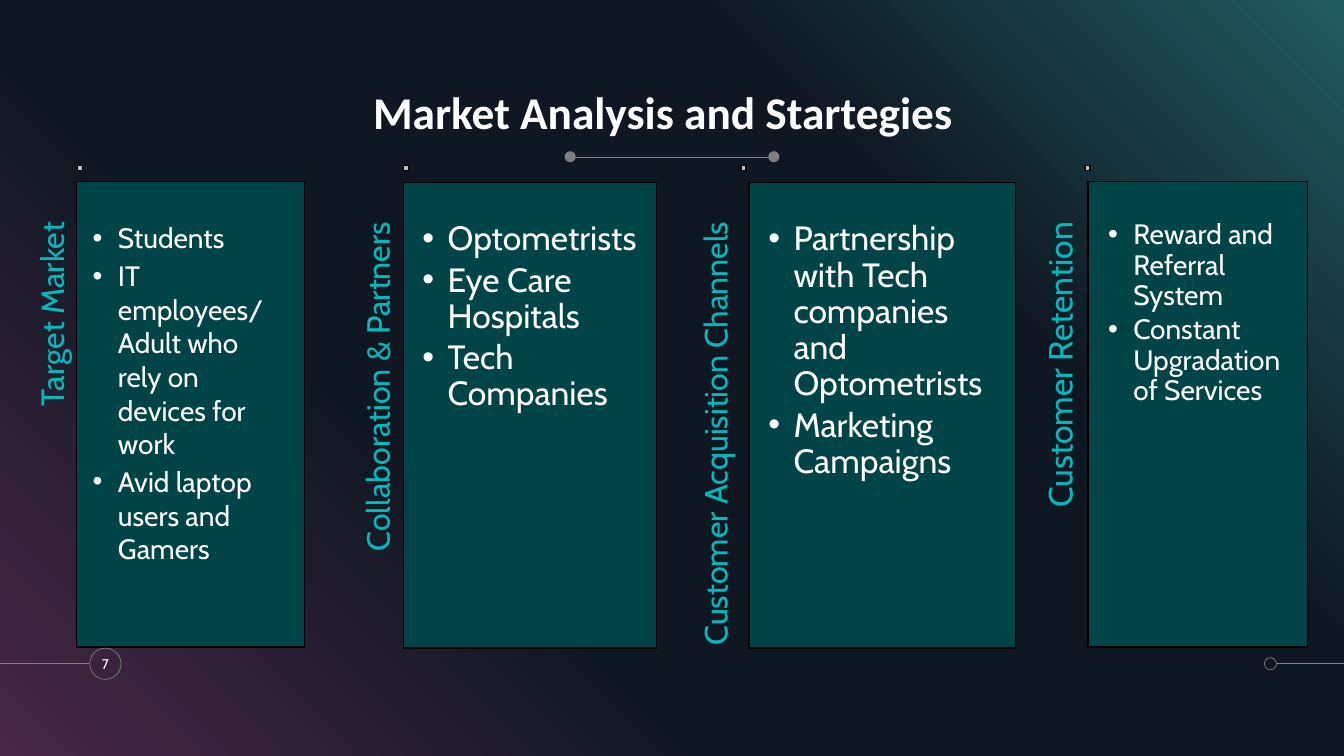
from lxml import etree
from pptx import Presentation
from pptx.dml.color import RGBColor
from pptx.enum.shapes import MSO_CONNECTOR, MSO_SHAPE
from pptx.enum.text import MSO_ANCHOR, MSO_AUTO_SIZE, PP_ALIGN
from pptx.oxml.ns import qn
from pptx.util import Inches, Pt

WHITE = RGBColor(0xFF, 0xFF, 0xFF)
BLACK = RGBColor(0x00, 0x00, 0x00)
GRAY = RGBColor(0x80, 0x80, 0x80)
SILVER = RGBColor(0xBD, 0xC1, 0xC1)
CYAN = RGBColor(0x00, 0xBB, 0xBB)
TEAL = RGBColor(0x00, 0x44, 0x48)
PURPLE = RGBColor(0x48, 0x28, 0x45)
NAVY = RGBColor(0x0F, 0x17, 0x22)
SEA = RGBColor(0x22, 0x5B, 0x5F)

RECT, OVAL = MSO_SHAPE.RECTANGLE, MSO_SHAPE.OVAL
STRAIGHT = MSO_CONNECTOR.STRAIGHT
LEFT, CENTER, RIGHT = PP_ALIGN.LEFT, PP_ALIGN.CENTER, PP_ALIGN.RIGHT
TOP, MIDDLE, BOTTOM = MSO_ANCHOR.TOP, MSO_ANCHOR.MIDDLE, MSO_ANCHOR.BOTTOM
NO_AUTOFIT = MSO_AUTO_SIZE.NONE

GRADIENT = [(0, PURPLE), (34, NAVY), (69, NAVY), (100, SEA)]
CARD_HEIGHT = 4.62
COLUMNS = [
    dict(heading="Target Market", label_x=0.58, label_size=23,
         box=(0.76, 1.8, 2.26, CARD_HEIGHT), inset=0.16, size=20, spacing=1.0,
         items=["Students", "IT employees/ Adult who rely on devices for work",
                "Avid laptop users and Gamers"]),
    dict(heading="Collaboration & Partners", label_x=3.81, label_size=23,
         box=(4, 1.81, 2.51, CARD_HEIGHT), inset=0.19, size=24, spacing=0.9,
         items=["Optometrists", "Eye Care Hospitals", "Tech Companies"]),
    dict(heading="Customer Acquisition Channels", label_x=7.16, label_size=23,
         box=(7.43, 1.81, 2.64, CARD_HEIGHT), inset=0.19, size=24, spacing=0.9,
         items=["Partnership with Tech companies and Optometrists",
                "Marketing Campaigns"]),
    dict(heading="Customer Retention", label_x=10.57, label_size=24,
         box=(10.79, 1.8, 2.18, CARD_HEIGHT), inset=0.2, size=20, spacing=0.9,
         items=["Reward and Referral System", "Constant Upgradation of Services"]),
]


def place(sp, box):
    """Move a shape to a box given in inches."""
    sp.left, sp.top, sp.width, sp.height = map(Inches, box)


def write(sp, lines, size, color=WHITE, font="Cabin", bold=False, align=LEFT,
          anchor=TOP, insets=(0, 0, 0, 0), spacing=1.0, bullets=False):
    """Fill a shape with formatted paragraphs."""
    tf = sp.text_frame
    tf.word_wrap, tf.auto_size, tf.vertical_anchor = True, NO_AUTOFIT, anchor
    tf.margin_left, tf.margin_top, tf.margin_right, tf.margin_bottom = map(Inches, insets)
    for i, line in enumerate(lines):
        p = tf.add_paragraph() if i else tf.paragraphs[0]
        p.alignment, p.line_spacing, p.space_before = align, spacing, Pt(0)
        r = p.add_run()
        r.text = line
        r.font.name, r.font.size, r.font.bold = font, Pt(size), bold
        r.font.color.rgb = color
        if bullets:
            p.level = 1
            p.space_after = Pt(0.15 * size)
            pPr = p._p.get_or_add_pPr()
            pPr.set("marL", str(Inches(0.25)))
            pPr.set("indent", str(Inches(-0.25)))
            etree.SubElement(pPr, qn("a:buFont")).set("typeface", "Arial")
            etree.SubElement(pPr, qn("a:buChar")).set("char", "•")


def paint(sp, fill=None, line=None, width=1):
    """Set the fill and outline of a shape."""
    if fill is None:
        sp.fill.background()
    else:
        sp.fill.solid()
        sp.fill.fore_color.rgb = fill
    if line is None:
        sp.line.fill.background()
    else:
        sp.line.color.rgb = line
        sp.line.width = Pt(width)


def add_shape(s, kind, box, **style):
    """Add a preset shape without shadow."""
    sp = s.shapes.add_shape(kind, *map(Inches, box))
    sp.shadow.inherit = False
    paint(sp, **style)
    return sp


def add_rule(s, x1, y1, x2, y2):
    """Add a thin gray line."""
    cn = s.shapes.add_connector(STRAIGHT, *map(Inches, (x1, y1, x2, y2)))
    cn.line.color.rgb = GRAY
    cn.line.width = Pt(0.5)
    etree.SubElement(cn._element.spPr, qn("a:effectLst"))


def draw_background(s):
    """Fill the slide with the diagonal gradient."""
    fill = s.background.fill
    fill.gradient()
    fill.gradient_angle = 45
    stops = s.element.find(".//" + qn("a:gsLst"))
    for gs in list(stops):
        stops.remove(gs)
    for percent, color in GRADIENT:
        gs = etree.SubElement(stops, qn("a:gs"), pos=str(percent * 1000))
        etree.SubElement(gs, qn("a:srgbClr"), val=str(color))


def draw_title(s, box):
    """Write the title and the dotted rule below it."""
    x, y, w, h = box
    place(s.shapes.title, box)
    write(s.shapes.title, ["Market Analysis and Startegies"], 32.4, font="Calibri",
          bold=True, align=CENTER, anchor=BOTTOM, spacing=0.9)
    rule_x, rule_y = x + 2.42, y + h + 0.18
    add_rule(s, rule_x, rule_y, rule_x + 2.07, rule_y)
    for dot_x in (rule_x, rule_x + 2.02):
        add_shape(s, OVAL, (dot_x, rule_y - 0.06, 0.11, 0.11), fill=GRAY)


def draw_footer(s, box):
    """Draw the page number badge and the lines at both edges."""
    x, y, w, h = box
    mid = y + h / 2
    badge = add_shape(s, OVAL, (x + 0.89, y, h, h), line=GRAY, width=0.5)
    write(badge, ["7"], 10, align=CENTER, anchor=MIDDLE)
    add_rule(s, x, mid, x + 0.88, mid)
    add_shape(s, OVAL, (x + w - 0.79, mid - 0.06, 0.12, 0.12), line=GRAY, width=0.5)
    add_rule(s, x + w - 0.67, mid, x + w, mid)


def draw_column(s, body, box, heading, label_x, label_size, inset, size, spacing, items):
    """Draw a card with its list, upright heading and marker."""
    x, y, w, h = box
    place(body, box)
    paint(body, fill=TEAL, line=BLACK)
    write(body, items, size, insets=(inset, 0.39, inset, inset),
          spacing=spacing, bullets=True)
    label = s.shapes.add_textbox(*map(Inches, (label_x - h / 2, 3.9, h, 0.44)))
    label.rotation = 270
    write(label, [heading], label_size, color=CYAN, align=RIGHT,
          insets=(0, 0, 0.39, 0), spacing=0.9)
    add_shape(s, RECT, (label_x + 0.19, 1.64, 0.05, 0.05), fill=SILVER, line=BLACK)


def main():
    """Build and save the slide."""
    prs = Presentation()
    prs.slide_width, prs.slide_height = Inches(13.33), Inches(7.5)
    s = prs.slides.add_slide(prs.slide_layouts.get_by_name("Comparison"))
    bodies = list(s.placeholders)[1:]
    draw_background(s)
    draw_footer(s, (0, 6.43, 13.33, 0.31))
    draw_title(s, (3.18, 0.76, 6.79, 0.62))
    for body, column in zip(bodies, COLUMNS):
        draw_column(s, body, **column)
    prs.save("out.pptx")


if __name__ == "__main__":
    main()
